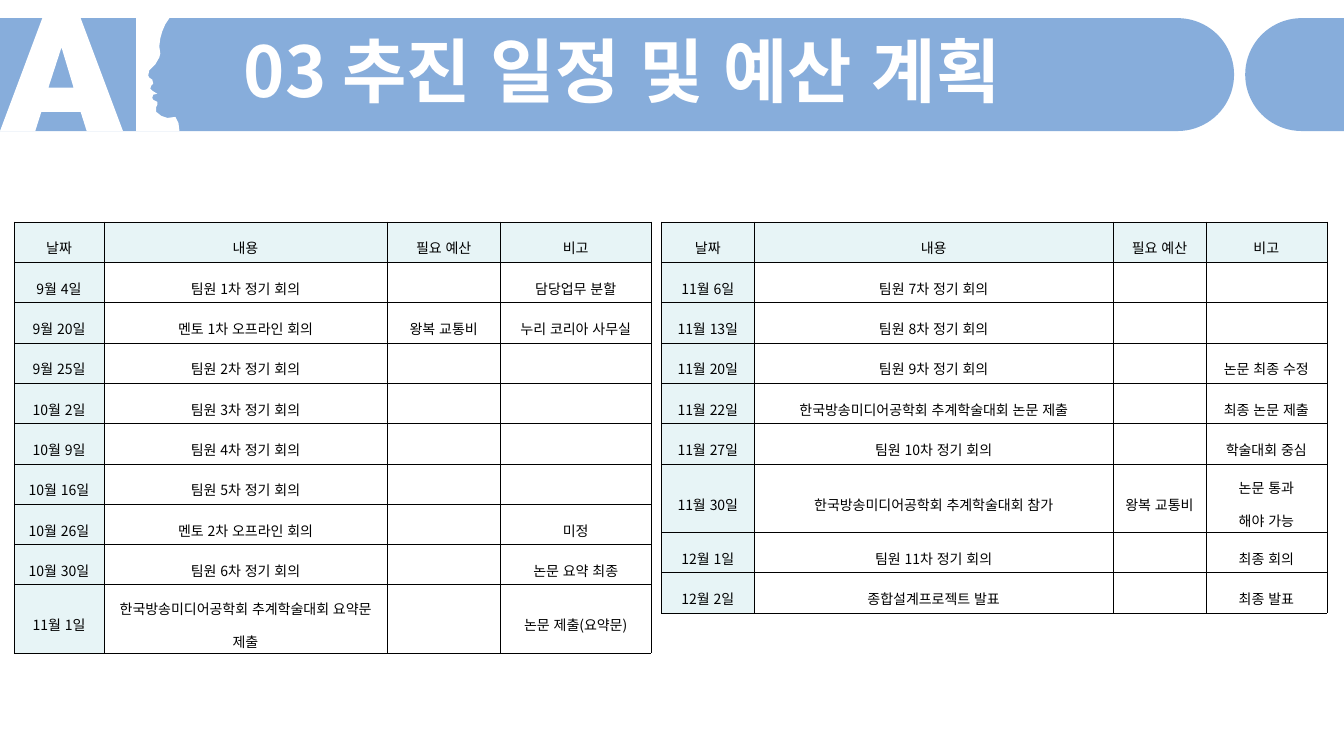
from math import cos, pi, sin

from lxml.etree import SubElement
from pptx import Presentation
from pptx.dml.color import RGBColor
from pptx.enum.lang import MSO_LANGUAGE_ID as Language
from pptx.enum.text import MSO_ANCHOR as Anchor, PP_ALIGN as Align
from pptx.oxml.ns import qn
from pptx.util import Inches, Pt

FONT = "Noto Sans CJK KR"
BLUE, WHITE, BLACK, MINT = "87ADDB", "FFFFFF", "000000", "E7F4F6"

TITLE = "03 추진 일정 및 예산 계획"
HEADER = ("날짜", "내용", "필요 예산", "비고")
SCHEDULES = [
    {
        "left": 0.14,
        "widths": (0.89, 2.81, 1.12, 1.5),
        "two_line_date": "11월 1일",
        "rows": [
            ("9월 4일", "팀원 1차 정기 회의", "", "담당업무 분할"),
            ("9월 20일", "멘토 1차 오프라인 회의", "왕복 교통비", "누리 코리아 사무실"),
            ("9월 25일", "팀원 2차 정기 회의", "", ""),
            ("10월 2일", "팀원 3차 정기 회의", "", ""),
            ("10월 9일", "팀원 4차 정기 회의", "", ""),
            ("10월 16일", "팀원 5차 정기 회의", "", ""),
            ("10월 26일", "멘토 2차 오프라인 회의", "", "미정"),
            ("10월 30일", "팀원 6차 정기 회의", "", "논문 요약 최종"),
            ("11월 1일", "한국방송미디어공학회 추계학술대회 요약문 제출", "", "논문 제출(요약문)"),
        ],
    },
    {
        "left": 6.56,
        "widths": (0.92, 3.56, 0.92, 1.2),
        "two_line_date": "11월 30일",
        "rows": [
            ("11월 6일", "팀원 7차 정기 회의", "", ""),
            ("11월 13일", "팀원 8차 정기 회의", "", ""),
            ("11월 20일", "팀원 9차 정기 회의", "", "논문 최종 수정"),
            ("11월 22일", "한국방송미디어공학회 추계학술대회 논문 제출", "", "최종 논문 제출"),
            ("11월 27일", "팀원 10차 정기 회의", "", "학술대회 중심"),
            ("11월 30일", "한국방송미디어공학회 추계학술대회 참가", "왕복 교통비", "논문 통과\n해야 가능"),
            ("12월 1일", "팀원 11차 정기 회의", "", "최종 회의"),
            ("12월 2일", "종합설계프로젝트 발표", "", "최종 발표"),
        ],
    },
]
TABLE_TOP, ROW_HEIGHT, TWO_LINE_HEIGHT = 2.2, 0.4, 0.68

SLIDE_WIDTH, SLIDE_HEIGHT = 13.33, 7.5
BAND_TOP, BAND_BOTTOM = 0.18, 1.3
RADIUS = (BAND_BOTTOM - BAND_TOP) / 2
BANNER_ARC, STUB_ARC = 11.68, 12.91

LETTER_A = [(0.42, 0.18), (0.8, 0.18), (1.22, 1.3), (0.86, 1.3), (0.8, 1.11),
            (0.41, 1.11), (0.35, 1.3), (0, 1.3)]
LETTER_HOLE = [(0.61, 0.47), (0.48, 0.87), (0.73, 0.87)]
PROFILE = [(1.35, 0.18), (1.68, 0.18), (1.64, 0.24), (1.61, 0.31), (1.59, 0.38),
           (1.58, 0.46), (1.59, 0.53), (1.58, 0.57), (1.54, 0.64), (1.51, 0.67),
           (1.48, 0.7), (1.47, 0.75), (1.48, 0.77), (1.51, 0.79), (1.52, 0.83),
           (1.5, 0.85), (1.49, 0.88), (1.51, 0.9), (1.56, 0.93), (1.52, 0.94),
           (1.51, 0.97), (1.52, 0.99), (1.56, 1.01), (1.56, 1.04), (1.55, 1.06),
           (1.55, 1.11), (1.6, 1.15), (1.66, 1.17), (1.74, 1.16), (1.77, 1.22),
           (1.78, 1.3), (1.35, 1.3)]

CELL_FORMAT = {
    "vertical_anchor": Anchor.MIDDLE,
    "margin_left": Inches(0.07), "margin_right": Inches(0.07),
    "margin_top": Inches(0.02), "margin_bottom": Inches(0.02),
}
CELL_PARAGRAPH = {"alignment": Align.CENTER, "line_spacing": 1.6}
TITLE_FRAME = {"word_wrap": True, "vertical_anchor": Anchor.MIDDLE}
TITLE_PARAGRAPH = {"alignment": Align.LEFT, "line_spacing": 0.8, "space_before": Pt(10)}
TABLE_BANDING = {"first_row": False, "horz_banding": False}


def color(hex_value):
    return RGBColor.from_string(hex_value)


def apply(target, formats):
    for attribute, value in formats.items():
        setattr(target, attribute, value)


def paint(fill, hex_value):
    fill.solid()
    fill.fore_color.rgb = color(hex_value)


def write(paragraph, text, size, hex_value, bold=False):
    run = paragraph.add_run()
    run.text = text
    apply(run.font, {"size": Pt(size), "name": FONT, "bold": bold,
                     "language_id": Language.KOREAN})
    run.font.color.rgb = color(hex_value)
    SubElement(run.font._element, qn("a:ea"), typeface=FONT)


def outline(slide, contours, hex_value):
    scaled = [[(Inches(x), Inches(y)) for x, y in contour] for contour in contours]
    builder = slide.shapes.build_freeform(*scaled[0][0], scale=1.0)
    builder.add_line_segments(scaled[0][1:])
    for contour in scaled[1:]:
        builder.move_to(*contour[0])
        builder.add_line_segments(contour[1:])
    shape = builder.convert_to_shape()
    shape.shadow.inherit = False
    paint(shape.fill, hex_value)
    shape.line.fill.background()


def rounded_band(flat_x, arc_x, steps=40):
    side = 1 if arc_x > flat_x else -1
    middle = BAND_TOP + RADIUS
    angles = [pi * step / steps - pi / 2 for step in range(steps + 1)]
    arc = [(arc_x + side * RADIUS * cos(a), middle + RADIUS * sin(a)) for a in angles]
    return [(flat_x, BAND_TOP), *arc, (flat_x, BAND_BOTTOM)]


def add_borders(cell):
    properties = cell._tc.get_or_add_tcPr()
    for side in ("lnL", "lnR", "lnT", "lnB"):
        border = SubElement(properties, qn(f"a:{side}"), w=str(Pt(0.28)))
        SubElement(SubElement(border, qn("a:solidFill")), qn("a:srgbClr"), val=BLACK)


def fill_cell(cell, text, shaded):
    apply(cell, CELL_FORMAT)
    add_borders(cell)
    if shaded:
        paint(cell.fill, MINT)
    else:
        cell.fill.background()
    frame = cell.text_frame
    for number, line in enumerate(text.split("\n")):
        paragraph = frame.add_paragraph() if number else frame.paragraphs[0]
        apply(paragraph, CELL_PARAGRAPH)
        if line:
            write(paragraph, line, 10, BLACK)
        else:
            SubElement(paragraph._p, qn("a:endParaRPr"), sz="1000")


def add_schedule(slide, left, widths, two_line_date, rows):
    lines = [HEADER, *rows]
    heights = [TWO_LINE_HEIGHT if line[0] == two_line_date else ROW_HEIGHT for line in lines]
    table = slide.shapes.add_table(
        len(lines), len(widths), Inches(left), Inches(TABLE_TOP),
        Inches(sum(widths)), Inches(sum(heights))).table
    apply(table, TABLE_BANDING)
    for column, width in zip(table.columns, widths):
        column.width = Inches(width)
    for row, height in zip(table.rows, heights):
        row.height = Inches(height)
    for r, line in enumerate(lines):
        for c, text in enumerate(line):
            fill_cell(table.cell(r, c), text, r == 0 or c == 0)


def main():
    deck = Presentation()
    apply(deck, {"slide_width": Inches(SLIDE_WIDTH), "slide_height": Inches(SLIDE_HEIGHT)})
    slide = deck.slides.add_slide(deck.slide_layouts[6])

    outline(slide, [rounded_band(0, BANNER_ARC)], BLUE)
    outline(slide, [LETTER_A, LETTER_HOLE, PROFILE], WHITE)
    outline(slide, [rounded_band(SLIDE_WIDTH, STUB_ARC)], BLUE)

    title = slide.shapes.add_textbox(
        Inches(2.32), Inches(0.37), Inches(10.69), Inches(0.79)).text_frame
    apply(title, TITLE_FRAME)
    apply(title.paragraphs[0], TITLE_PARAGRAPH)
    write(title.paragraphs[0], TITLE, 50, WHITE, bold=True)

    for schedule in SCHEDULES:
        add_schedule(slide, **schedule)
    deck.save("out.pptx")


if __name__ == "__main__":
    main()
